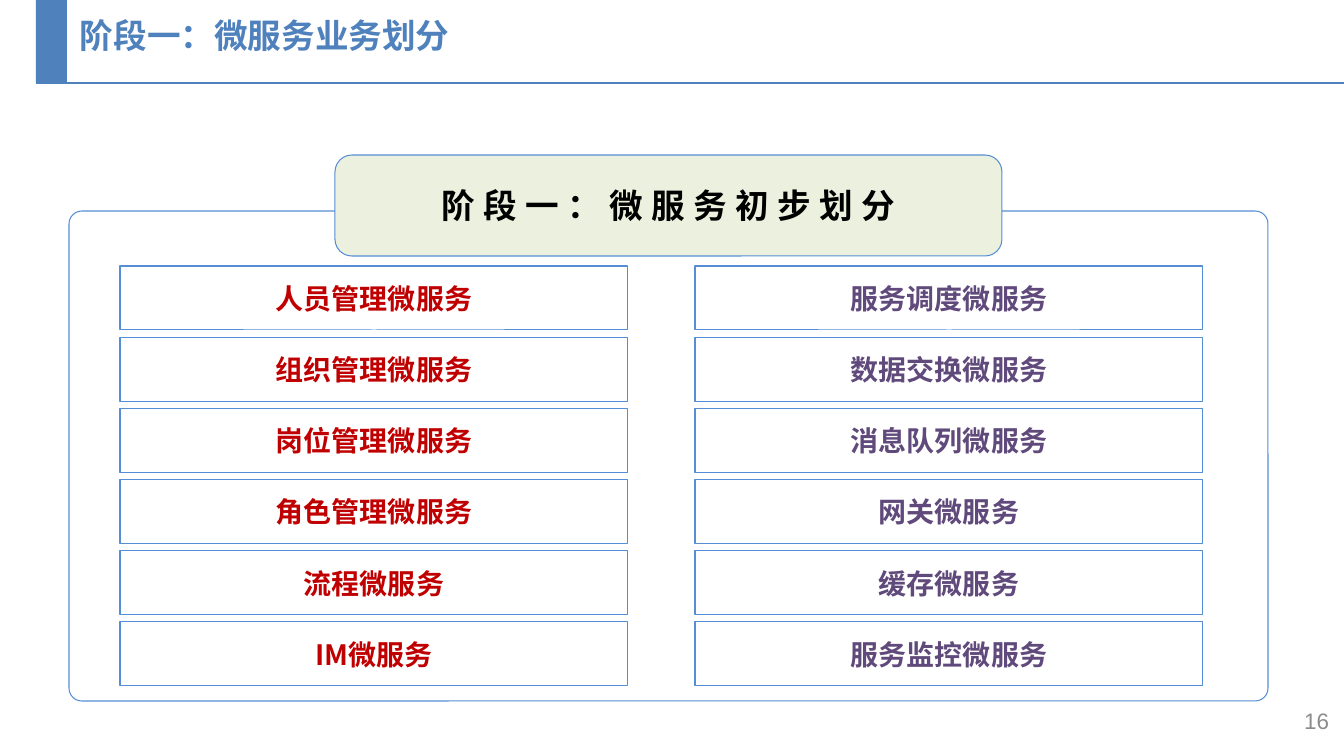
from dataclasses import dataclass

from lxml import etree
from pptx import Presentation
from pptx import util as u
from pptx.dml.color import RGBColor
from pptx.enum import shapes, text
from pptx.oxml.ns import qn

PX = 914400 / 100.8


@dataclass(frozen=True)
class Theme:
    accent: str = "4F81BD"
    outline: str = "558ED5"
    banner: str = "EBF1DE"
    banner_text: str = "000000"
    business: str = "C00000"
    platform: str = "604A7B"
    page: str = "8C8C8C"
    cjk: str = "Noto Sans CJK SC"
    latin: str = "Arial"
    heading_size: int = 24
    service_size: int = 20
    page_size: int = 16


THEME = Theme()
BUSINESS_SERVICES = ["人员管理微服务", "组织管理微服务", "岗位管理微服务",
                     "角色管理微服务", "流程微服务", "IM微服务"]
PLATFORM_SERVICES = ["服务调度微服务", "数据交换微服务", "消息队列微服务",
                     "网关微服务", "缓存微服务", "服务监控微服务"]


def emu(*lengths):
    return [round(length * PX) for length in lengths]


def write(frame, words, size, color, align, font=THEME.cjk, bold=True,
          insets=(5, 4), anchor=text.MSO_ANCHOR.MIDDLE, spacing=0):
    """Fill a text frame with one paragraph; insets are horizontal, vertical."""
    frame.word_wrap = True
    frame.vertical_anchor = anchor
    frame.margin_left = frame.margin_right = emu(insets[0])[0]
    frame.margin_top = frame.margin_bottom = emu(insets[1])[0]
    paragraph = frame.paragraphs[0]
    paragraph.text = words
    paragraph.alignment = align
    paragraph.font.size = u.Pt(size)
    paragraph.font.bold = bold
    paragraph.font.color.rgb = RGBColor.from_string(color)
    paragraph.font.name = font
    defaults = paragraph._p.pPr.find(qn("a:defRPr"))
    etree.SubElement(defaults, qn("a:ea")).set("typeface", font)
    if spacing:
        defaults.set("spc", str(spacing * 100))
    return paragraph


def add_box(slide, kind, box, fill=None, line=None):
    shape = slide.shapes.add_shape(kind, *emu(*box))
    shape.shadow.inherit = False
    if fill:
        shape.fill.solid()
        shape.fill.fore_color.rgb = RGBColor.from_string(fill)
    else:
        shape.fill.background()
    if line:
        shape.line.color.rgb = RGBColor.from_string(line)
        shape.line.width = u.Pt(0.75)
    else:
        shape.line.fill.background()
    return shape


def add_header(slide, box, title):
    left, top, width, height = box
    bottom = top + height
    rule = slide.shapes.add_connector(shapes.MSO_CONNECTOR.STRAIGHT,
                                      *emu(left, bottom, left + width, bottom))
    rule.line.color.rgb = RGBColor.from_string(THEME.accent)
    rule.line.width = u.Pt(1.5)
    etree.SubElement(rule._element.spPr, qn("a:effectLst"))
    add_box(slide, shapes.MSO_SHAPE.RECTANGLE, (left, top, 31, height), fill=THEME.accent)
    heading = slide.shapes.add_textbox(*emu(left + 34, top + 19, 1108, 54))
    paragraph = write(heading.text_frame, title, THEME.heading_size, THEME.accent,
                      text.PP_ALIGN.LEFT, insets=(10, 0), anchor=text.MSO_ANCHOR.TOP)
    paragraph.line_spacing = 0.9


def add_page_number(slide, box, number):
    page = slide.shapes.add_textbox(*emu(*box))
    write(page.text_frame, str(number), THEME.page_size, THEME.page,
          text.PP_ALIGN.RIGHT, font=THEME.latin, bold=False, insets=(10, 5))


def add_service_column(slide, box, services, color):
    left, top, width, height = box
    row_height = 64
    pitch = (height - row_height) / (len(services) - 1)
    for row, service in enumerate(services):
        cell = add_box(slide, shapes.MSO_SHAPE.RECTANGLE,
                       (left, top + row * pitch, width, row_height), line=THEME.outline)
        write(cell.text_frame, service, THEME.service_size, color, text.PP_ALIGN.CENTER)


def add_stage(slide, box, title):
    """Draw the outlined panel, its overlapping banner and both service columns."""
    left, top, width, height = box
    panel = add_box(slide, shapes.MSO_SHAPE.ROUNDED_RECTANGLE, box, line=THEME.outline)
    panel.adjustments[0] = 0.026
    banner_width = 667
    banner = add_box(slide, shapes.MSO_SHAPE.ROUNDED_RECTANGLE,
                     (left + (width - banner_width) / 2, top - 56, banner_width, 101),
                     fill=THEME.banner, line=THEME.outline)
    write(banner.text_frame, title, THEME.heading_size, THEME.banner_text,
          text.PP_ALIGN.CENTER, spacing=6)
    columns = [(51, BUSINESS_SERVICES, THEME.business),
               (626, PLATFORM_SERVICES, THEME.platform)]
    for offset, services, color in columns:
        add_service_column(slide, (left + offset, top + 55, 508, height - 70),
                           services, color)


def main():
    deck = Presentation()
    deck.slide_width, deck.slide_height = emu(1344, 756)
    slide = deck.slides.add_slide(deck.slide_layouts[6])
    add_header(slide, (36, 0, 1308, 83), "阶段一：微服务业务划分")
    add_page_number(slide, (1037, 701, 302, 40), 16)
    add_stage(slide, (69, 211, 1199, 490), "阶段一：微服务初步划分")
    deck.save("out.pptx")


if __name__ == "__main__":
    main()
